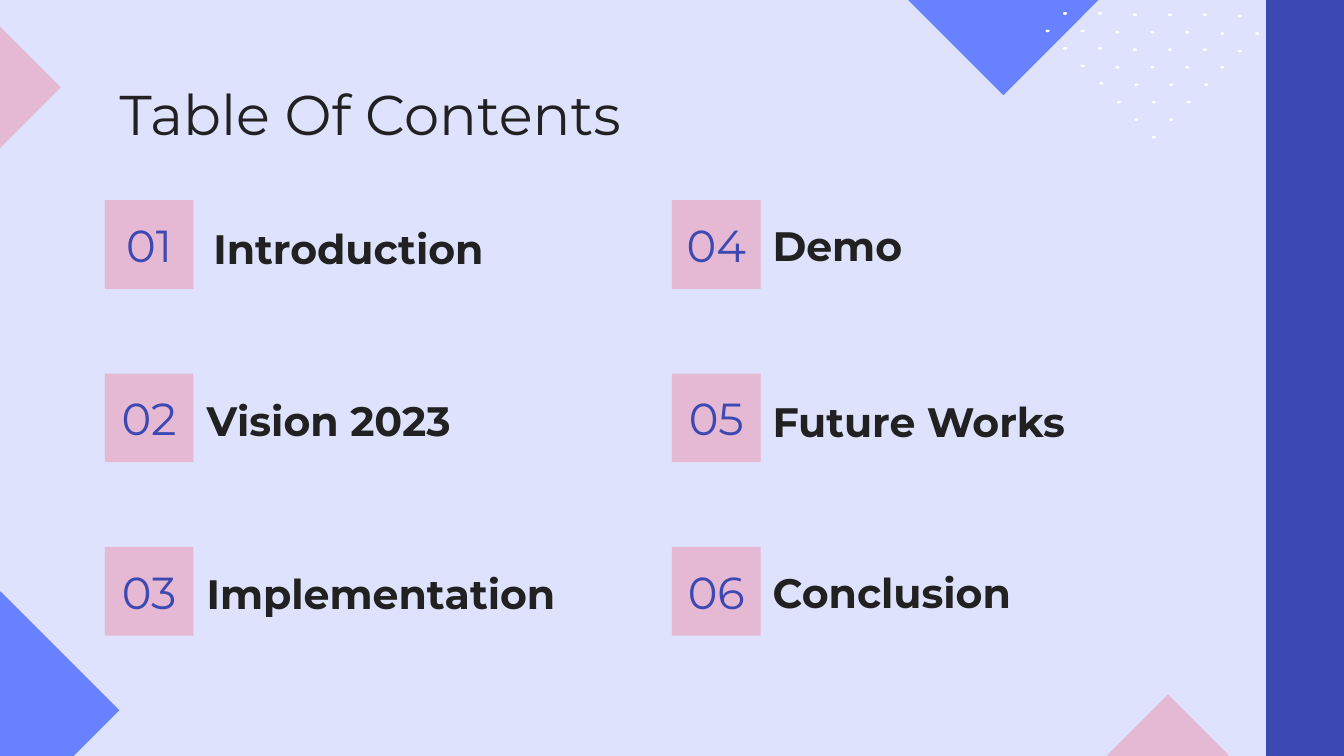
from dataclasses import dataclass
from pptx import Presentation as Deck
from pptx.dml.color import RGBColor as Rgb
from pptx.enum.shapes import MSO_SHAPE as Kind
from pptx.enum.text import MSO_ANCHOR as Anchor, MSO_AUTO_SIZE as Fit, PP_ALIGN as Align
from pptx.util import Emu, Pt

SCALE = 9144  # EMU in one px, at 100 px to the inch


@dataclass(frozen=True)
class Theme:
    font: str = "Montserrat"
    back: str = "DEE2FD"
    blue: str = "6881FE"
    navy: str = "3C49B2"
    pink: str = "E5B8D3"
    white: str = "FFFFFF"
    ink: str = "212121"
    title: int = 30
    number: int = 24
    label: int = 22


THEME = Theme()

# Number, label, and the label's offset from its number tile
TOPICS = [
    ("01", "Introduction", 71, 0),
    ("02", "Vision 2023", 66, -1),
    ("03", "Implementation", 66, -1),
    ("04", "Demo", 65, -2),
    ("05", "Future Works", 65, 0),
    ("06", "Conclusion", 65, -2),
]


def px(*vals):
    return [Emu(round(v * SCALE)) for v in vals]


def write(shape, text, size, color=THEME.ink, bold=False,
          align=Align.LEFT, anchor=Anchor.TOP):
    frame = shape.text_frame
    frame.word_wrap = True
    frame.auto_size = Fit.NONE
    frame.vertical_anchor = anchor
    inset, = px(10)
    frame.margin_left = frame.margin_right = inset
    frame.margin_top = frame.margin_bottom = inset
    para = frame.paragraphs[0]
    para.alignment = align
    run = para.add_run()
    run.text = text
    font = run.font
    font.name, font.size, font.bold = THEME.font, Pt(size), bold
    font.color.rgb = Rgb.from_string(color)


def block(slide, box, color, kind=Kind.RECTANGLE, turn=0):
    shape = slide.shapes.add_shape(kind, *px(*box))
    shape.shadow.inherit = False
    shape.fill.solid()
    shape.fill.fore_color.rgb = Rgb.from_string(color)
    shape.line.fill.background()
    shape.rotation = turn
    return shape


def dots(slide, left, top):
    """Draw a downward triangle of dots, with one shorter row above it."""
    for row in range(8):
        inset = abs(row - 1)
        for col in range(7 - inset):
            x = left + round(13.2 * inset + 26 * col)
            y = top + round(13.1 * row + 0.3 * col)
            block(slide, (x, y, 3, 2), THEME.white, Kind.OVAL)


def decor(slide, wide, high):
    for x, y, side, color in [
        (684, -80, 125, THEME.blue),
        (837, 530, 64, THEME.pink),
        (-62, 466, 125, THEME.blue),
        (-32, 33, 64, THEME.pink),
    ]:
        block(slide, (x, y, side, side), color, turn=45)
    block(slide, (wide - 58, 0, 58, high), THEME.navy)
    dots(slide, 778, 9)


def head(slide, box):
    title = slide.shapes.title
    title.left, title.top, title.width, title.height = px(*box)
    write(title, "Table Of Contents", THEME.title)


def topic(slide, left, top, number, name, dx, dy):
    tile = block(slide, (left, top, 66, 66), THEME.pink)
    write(tile, number, THEME.number, color=THEME.navy,
          align=Align.CENTER, anchor=Anchor.MIDDLE)
    label = slide.shapes.add_textbox(*px(left + dx, top + dy, 327, 64))
    write(label, name, THEME.label, bold=True, anchor=Anchor.BOTTOM)


def topics(slide, left, top):
    """Fill a grid of two columns, three rows each, column by column."""
    for i, item in enumerate(TOPICS):
        col, row = divmod(i, 3)
        topic(slide, left + 422 * col, top + 129 * row, *item)


def main():
    wide, high = 1000, 562.5
    deck = Deck()
    deck.slide_width, deck.slide_height = px(wide, high)
    slide = deck.slides.add_slide(deck.slide_layouts[5])
    slide.background.fill.solid()
    slide.background.fill.fore_color.rgb = Rgb.from_string(THEME.back)
    decor(slide, wide, high)
    head(slide, (79, 49, 843, 73))
    topics(slide, 78, 149)
    deck.save("out.pptx")


if __name__ == "__main__":
    main()
